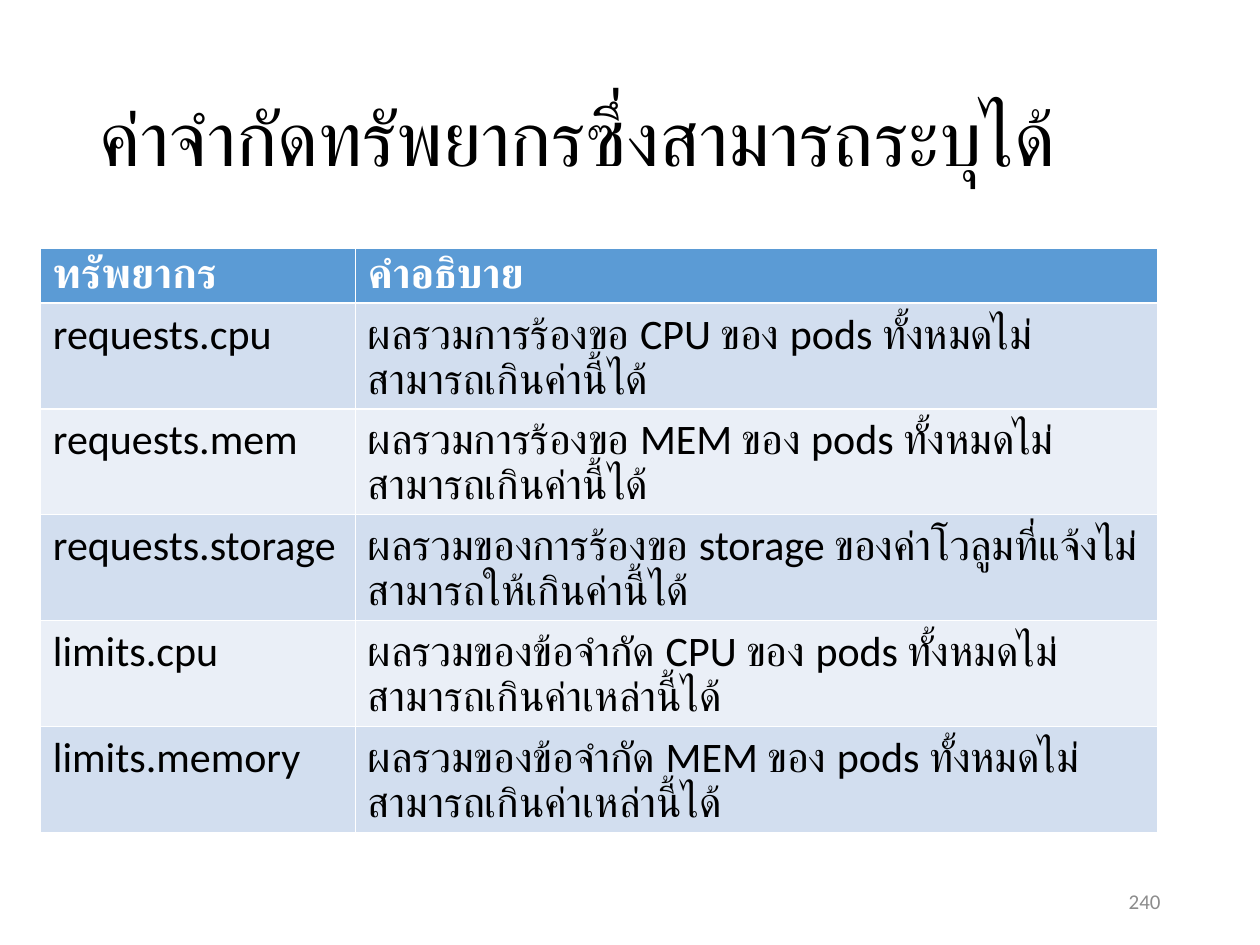
import pptx
import pptx.dml.color
import pptx.enum.text
import pptx.util
from pptx.util import Inches

ALIGN = pptx.enum.text.PP_ALIGN
MIDDLE = pptx.enum.text.MSO_ANCHOR.MIDDLE


def color(value):
    return pptx.dml.color.RGBColor.from_string(value)


def write(frame, text, size=24, fill="000000", bold=False, align=ALIGN.LEFT):
    para = frame.paragraphs[0]
    para.alignment = align
    span = para.add_run()
    span.text = text
    span.font.name = "Calibri"
    span.font.size = pptx.util.Pt(size)
    span.font.bold = bold
    span.font.color.rgb = color(fill)
    return para


deck = pptx.Presentation()
deck.slide_width, deck.slide_height = Inches(10), Inches(7.5)
page = deck.slides.add_slide(deck.slide_layouts[5])

# Title
title = page.shapes.title
title.left, title.top = Inches(0.69), Inches(0.4)
title.width, title.height = Inches(8.62), Inches(1.45)
title.text_frame.vertical_anchor = MIDDLE
para = write(title.text_frame, "ค่าจำกัดทรัพยากรซึ่งสามารถระบุได้", size=44)
para.line_spacing = 0.9

# Resource table: the default style supplies the white borders
rows = [
    ("ทรัพยากร", "คำอธิบาย"),
    ("requests.cpu", "ผลรวมการร้องขอ CPU ของ pods ทั้งหมดไม่สามารถเกินค่านี้ได้"),
    ("requests.mem", "ผลรวมการร้องขอ MEM ของ pods ทั้งหมดไม่สามารถเกินค่านี้ได้"),
    ("requests.storage", "ผลรวมของการร้องขอ storage ของค่าโวลูมที่แจ้งไม่สามารถให้เกินค่านี้ได้"),
    ("limits.cpu", "ผลรวมของข้อจำกัด CPU ของ pods ทั้งหมดไม่สามารถเกินค่าเหล่านี้ได้"),
    ("limits.memory", "ผลรวมของข้อจำกัด MEM ของ pods ทั้งหมดไม่สามารถเกินค่าเหล่านี้ได้"),
]
holder = page.shapes.add_table(
    len(rows), 2, Inches(0.32), Inches(1.97), Inches(8.87), Inches(4.6))
table = holder.table
for column, width in zip(table.columns, (2.5, 6.37)):
    column.width = Inches(width)
for r, texts in enumerate(rows):
    table.rows[r].height = Inches(0.41)
    header = r == 0
    band = "5B9BD5" if header else ("EAEFF7", "D2DEEF")[r % 2]
    for c, text in enumerate(texts):
        cell = table.cell(r, c)
        cell.fill.solid()
        cell.fill.fore_color.rgb = color(band)
        write(cell.text_frame, text, bold=header,
              fill="FFFFFF" if header else "000000")
holder.height = Inches(4.6)

# Page number
box = page.shapes.add_textbox(Inches(7.06), Inches(6.95), Inches(2.25), Inches(0.4))
box.text_frame.word_wrap = True
box.text_frame.vertical_anchor = MIDDLE
write(box.text_frame, "240", size=12, fill="8C8C8C", align=ALIGN.RIGHT)

deck.save("out.pptx")
